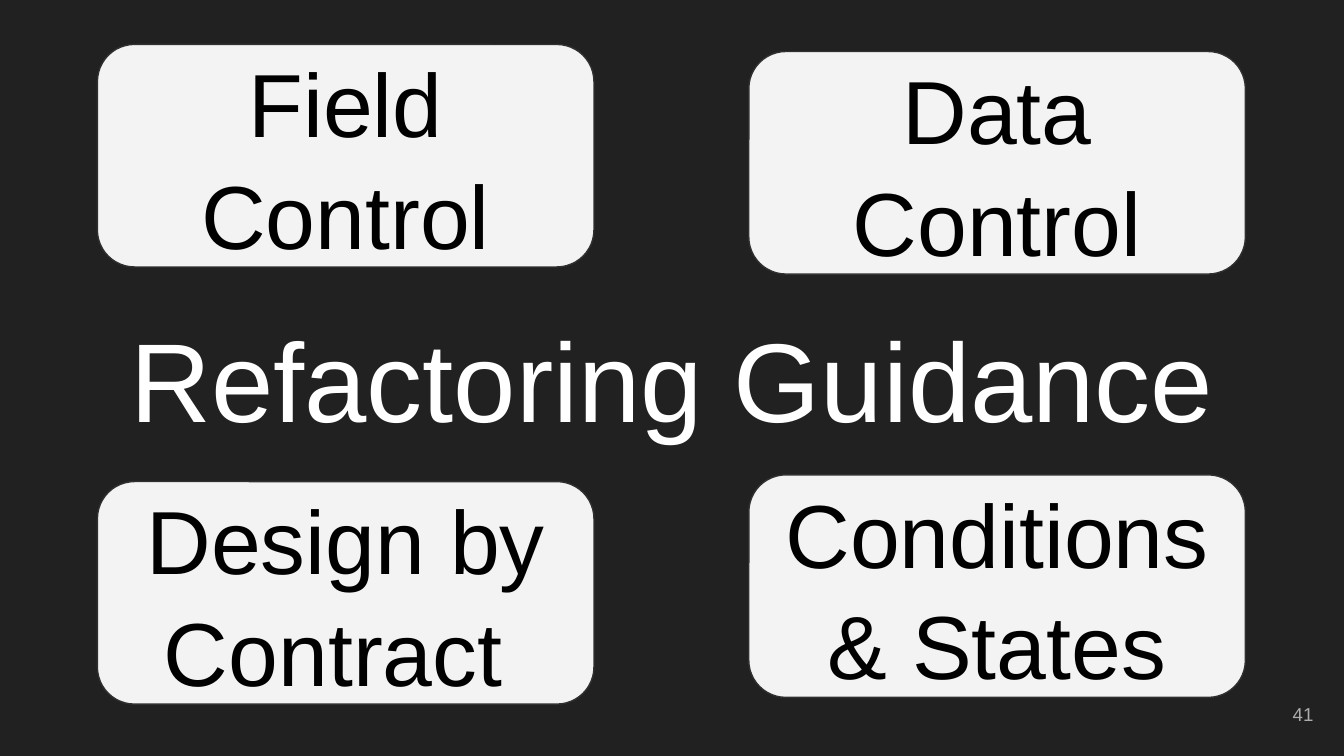
from pptx import Presentation
from pptx.dml.color import RGBColor
from pptx.enum.shapes import MSO_SHAPE
from pptx.enum.text import MSO_ANCHOR, PP_ALIGN
from pptx.util import Pt

ROUNDED = MSO_SHAPE.ROUNDED_RECTANGLE
MIDDLE = MSO_ANCHOR.MIDDLE
CENTER, RIGHT = PP_ALIGN.CENTER, PP_ALIGN.RIGHT


def color(value):
    return RGBColor.from_string(value)


def write(holder, lines, size, ink, align, spacing):
    frame = holder.text_frame
    inset = Pt(7.2)
    layout = {"word_wrap": True, "vertical_anchor": MIDDLE,
              "margin_left": inset, "margin_right": inset,
              "margin_top": inset, "margin_bottom": inset}
    for name, value in layout.items():
        setattr(frame, name, value)
    frame.text = lines
    for paragraph in frame.paragraphs:
        paragraph.alignment = align
        paragraph.line_spacing = spacing
        for name, value in {"name": "Arial", "size": Pt(size)}.items():
            setattr(paragraph.font, name, value)
        paragraph.font.color.rgb = color(ink)


deck = Presentation()
deck.slide_width, deck.slide_height = Pt(720), Pt(405)
slide = deck.slides.add_slide(deck.slide_layouts[6])
slide.background.fill.solid()
slide.background.fill.fore_color.rgb = color("212121")

title = slide.shapes.add_textbox(Pt(24.5), Pt(168), Pt(671), Pt(66))
write(title, "Refactoring Guidance", 60, "FFFFFF", CENTER, 1.04)

page_number = slide.shapes.add_textbox(Pt(667.5), Pt(367.2), Pt(43.2), Pt(31))
write(page_number, "41", 10, "ADADAD", RIGHT, 1)

LEFT_COLUMN, RIGHT_COLUMN = 52.2, 401.2
topics = [
    (LEFT_COLUMN, 23.8, "Field Control"),
    (RIGHT_COLUMN, 27.6, "Data Control"),
    (RIGHT_COLUMN, 254.4, "Conditions\n& States"),
    (LEFT_COLUMN, 258, "Design by Contract "),
]
for left, top, topic in topics:
    card = slide.shapes.add_shape(ROUNDED, Pt(left), Pt(top), Pt(266), Pt(119.2))
    card.shadow.inherit = False
    card.fill.solid()
    card.fill.fore_color.rgb = color("F3F3F3")
    card.line.color.rgb = color("303030")
    card.line.width = Pt(0.75)
    write(card, topic, 48, "000000", CENTER, 1.04)

deck.save("out.pptx")
